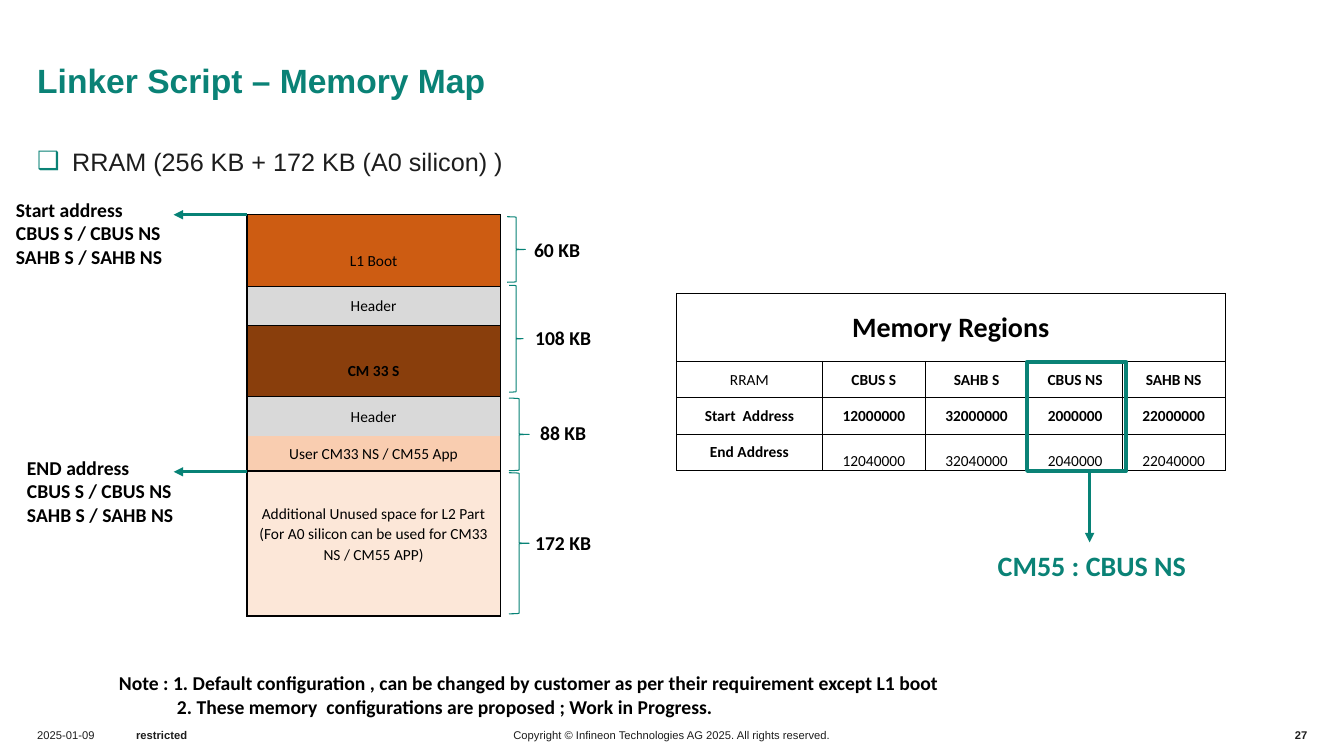
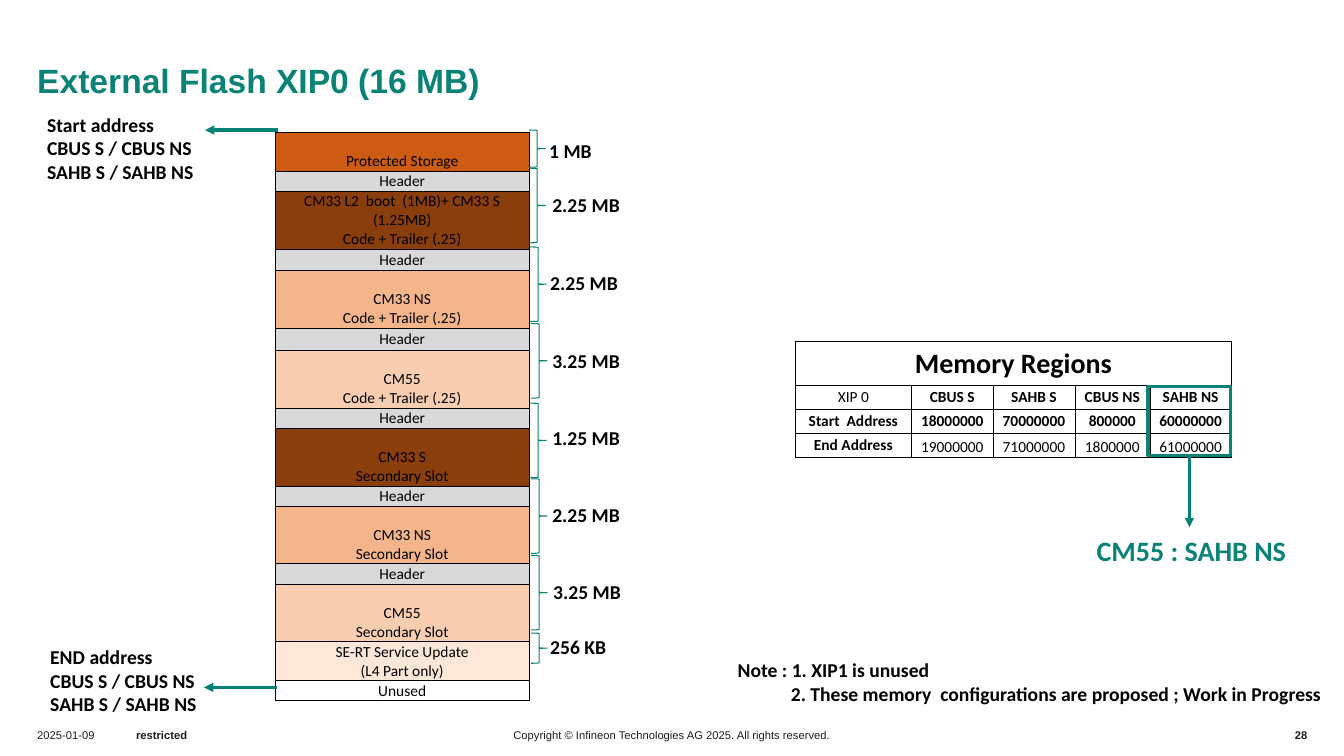
import pptx
import pptx.dml.color
import pptx.enum.shapes
import pptx.enum.text
import pptx.oxml.ns
import pptx.util
from lxml import etree

Pt = pptx.util.Pt
qn = pptx.oxml.ns.qn
ALIGN = pptx.enum.text.PP_ALIGN
ANCHOR = pptx.enum.text.MSO_ANCHOR
SHAPE = pptx.enum.shapes.MSO_SHAPE

TEAL, LINE_TEAL, INK, BLACK = "0A8276", "078276", "1D1D1D", "000000"
ORANGE, BROWN, GREY = "CD5C12", "893E0C", "D9D9D9"
PEACH, LIGHT_PEACH, CREAM, WHITE = "F4B58A", "F9CDB0", "FCE7D8", "FFFFFF"
FIRST_PAGE = 27
NO_STYLE = "{2D5ABB26-0587-4C30-8999-92F81FD0307C}"
BUSES = ["CBUS S / CBUS NS", "SAHB S / SAHB NS"]
HEADINGS = ["CBUS S", "SAHB S", "CBUS NS", "SAHB NS"]
REGION_COLUMNS = [104.4, 73.4, 73.4, 67.4, 73.4]


def rgb(color):
    return pptx.dml.color.RGBColor.from_string(color)


def put(obj, **values):
    for name, value in values.items():
        setattr(obj, name, value)


def points(values):
    return [Pt(v) for v in values]


class Deck:
    def __init__(self):
        self.prs = pptx.Presentation()
        put(self.prs, slide_width=Pt(960), slide_height=Pt(540))
        self.prs.element.set("firstSlideNum", str(FIRST_PAGE))
        self.s = None

    def add_lines(self, tf, lines, size=14, color=BLACK, bold=True, font="Calibri",
                  align=ALIGN.LEFT, spacing=1.0):
        for i, line in enumerate(lines):
            p = tf.add_paragraph() if i else tf.paragraphs[0]
            put(p, alignment=align, line_spacing=spacing, space_before=Pt(0))
            r = p.add_run()
            r.text = line
            put(r.font, size=Pt(size), bold=bold, name=font)
            r.font.color.rgb = rgb(color)

    def frame(self, sp, lines, inset=(0, 0, 0, 0), anchor=ANCHOR.TOP, **style):
        tf = sp.text_frame
        left, top, right, bottom = points(inset)
        put(tf, word_wrap=True, auto_size=pptx.enum.text.MSO_AUTO_SIZE.NONE,
            vertical_anchor=anchor, margin_left=left, margin_top=top,
            margin_right=right, margin_bottom=bottom)
        self.add_lines(tf, lines, **style)
        return tf

    def place(self, sp, *box):
        left, top, width, height = points(box)
        put(sp, left=left, top=top, width=width, height=height)

    def text(self, box, lines, inset=(7.2, 3.6, 7.2, 3.6), **style):
        sp = self.s.shapes.add_textbox(*points(box))
        return self.frame(sp, lines, inset, **style)

    def slide(self, title, layout):
        self.s = self.prs.slides.add_slide(self.prs.slide_layouts.get_by_name(layout))
        sp = self.s.shapes.title
        self.place(sp, 26.6, 15, 756.7, 57)
        self.frame(sp, [title], (0, 0, 0, 0.7), ANCHOR.BOTTOM,
                   size=24, color=TEAL, font="Arial")
        self.footer()

    def footer(self):
        page = str(FIRST_PAGE + len(self.prs.slides) - 1)
        for left, width, line, bold, align in (
                (26.6, 48.2, "2025-01-09", False, ALIGN.LEFT),
                (97.2, 76.3, "restricted", True, ALIGN.LEFT),
                (358, 244, "Copyright © Infineon Technologies AG 2025. All rights reserved.",
                 False, ALIGN.CENTER),
                (903.6, 30.2, page, True, ALIGN.RIGHT)):
            tf = self.text((left, 511.2, width, 28), [line], (0, 0, 0, 0),
                           anchor=ANCHOR.MIDDLE, size=8, color=INK, bold=bold,
                           font="Arial", align=align)
        fld = tf.paragraphs[0].runs[0]._r
        fld.tag = qn("a:fld")
        fld.set("id", "{B6F15528-21DE-4FAA-801E-634DDDAF4B2B}")
        fld.set("type", "slidenum")

    def bullet(self, line):
        sp = self.s.placeholders[1]
        self.place(sp, 26.6, 100, 907.2, 402.5)
        p = self.frame(sp, [line], size=18, color=INK, bold=False,
                       font="Arial", spacing=1.2).paragraphs[0]
        pPr = p._p.get_or_add_pPr()
        pPr.set("marL", str(Pt(25)))
        pPr.set("indent", str(-Pt(25)))
        color = etree.SubElement(pPr, qn("a:buClr"))
        etree.SubElement(color, qn("a:srgbClr"), val=TEAL)
        etree.SubElement(pPr, qn("a:buChar"), char="❑")

    def note(self, box, lines, indent):
        tf = self.text(box, lines)
        tf.paragraphs[1]._p.get_or_add_pPr().set("marL", str(Pt(indent)))

    def shape(self, kind, box, color, weight):
        sp = self.s.shapes.add_shape(kind, *points(box))
        sp.shadow.inherit = False
        sp.fill.background()
        sp.line.color.rgb = rgb(color)
        sp.line.width = Pt(weight)
        return sp

    def brace(self, box, label, label_box):
        sp = self.shape(SHAPE.RIGHT_BRACE, box, LINE_TEAL, 0.75)
        sp.adjustments[0], sp.adjustments[1] = 0.03, 0.5
        self.text((*label_box, 24.2), [label])

    def arrow(self, x1, y1, x2, y2, source=None):
        kind = pptx.enum.shapes.MSO_CONNECTOR.STRAIGHT
        sp = self.s.shapes.add_connector(kind, *points((x1, y1, x2, y2)))
        if source is not None:
            sp.begin_connect(source, 2)
        sp.line.color.rgb = rgb(LINE_TEAL)
        sp.line.width = Pt(2.25)
        spPr = sp._element.spPr
        etree.SubElement(spPr.get_or_add_ln(), qn("a:tailEnd"), type="triangle")
        etree.SubElement(spPr, qn("a:effectLst"))

    def address(self, word, left, top, arrow_right, arrow_y):
        self.text((left, top, 156.2, 58), [word + " address"] + BUSES)
        self.arrow(arrow_right, arrow_y, arrow_right - 52.3, arrow_y)

    def table(self, left, top, widths, heights):
        box = points((left, top, sum(widths), sum(heights)))
        sp = self.s.shapes.add_table(len(heights), len(widths), *box)
        tbl = sp.table
        put(tbl, first_row=False, horz_banding=False)
        tbl._tbl.tblPr.find(qn("a:tableStyleId")).text = NO_STYLE
        for column, width in zip(tbl.columns, widths):
            column.width = Pt(width)
        for row, height in zip(tbl.rows, heights):
            row.height = Pt(height)
        return tbl

    def cell(self, cell, lines, inset, fill=None, weight=0.5, hidden="",
             anchor=ANCHOR.MIDDLE, **style):
        left, top, right, bottom = points(inset)
        put(cell, margin_left=left, margin_top=top, margin_right=right,
            margin_bottom=bottom, vertical_anchor=anchor)
        if fill:
            cell.fill.solid()
            cell.fill.fore_color.rgb = rgb(fill)
        else:
            cell.fill.background()
        tcPr = cell._tc.get_or_add_tcPr()
        for i, side in enumerate("LRTB"):
            ln = etree.Element(qn("a:ln" + side), w=str(Pt(weight)))
            if side in hidden:
                etree.SubElement(ln, qn("a:noFill"))
            else:
                solid = etree.SubElement(ln, qn("a:solidFill"))
                etree.SubElement(solid, qn("a:srgbClr"), val=BLACK)
            tcPr.insert(i, ln)
        self.add_lines(cell.text_frame, lines, align=ALIGN.CENTER, **style)

    def memory_map(self, left, top, rows, side=0.7, edge=0.7, weight=0.5,
                   spacing=1.0, open_below=None):
        tbl = self.table(left, top, [181], [row[0] for row in rows])
        for i, (_, fill, text, above, below, bold) in enumerate(rows):
            hidden = ""
            if open_below is not None:
                hidden = {open_below: "B", open_below + 1: "T"}.get(i, "")
            self.cell(tbl.cell(i, 0), text.split("\n"),
                      (side, edge + above, side, below), fill, weight, hidden,
                      size=11, bold=bold, spacing=spacing)

    def regions(self, left, top, scale, heights, name, starts, ends):
        tbl = self.table(left, top, [w * scale for w in REGION_COLUMNS], heights)
        rows = [["Memory Regions", "", "", "", ""], [name] + HEADINGS,
                ["Start  Address"] + starts, ["End Address"] + ends]
        for i, row in enumerate(rows):
            for j, value in enumerate(row):
                end_value = i == 3 and j > 0
                self.cell(tbl.cell(i, j), [value] if value else [],
                          (0.7, 0.7, 0.7, 0), size=11 if i else 20,
                          bold=not end_value and (i, j) != (1, 0),
                          anchor=ANCHOR.BOTTOM if end_value else ANCHOR.MIDDLE)
        tbl.cell(0, 0).merge(tbl.cell(0, 4))

    def callout(self, left, top, label):
        self.text((left, top, 156.2, 31.5), [label], size=20, color=TEAL)


def rram_slide(deck):
    deck.slide("Linker Script – Memory Map", "Title and Content")
    deck.bullet("RRAM (256 KB + 172 KB (A0 silicon) )")
    deck.memory_map(176.4, 153.4, [
        (51.2, ORANGE, "L1 Boot", 14, 0, False),
        (27.7, GREY, "Header", 0, 0, False),
        (51.2, BROWN, "CM 33 S", 14, 0, True),
        (27.7, GREY, "Header", 0, 0, False),
        (25.3, LIGHT_PEACH, "User CM33 NS / CM55 App", 0, 0, False),
        (103.6, CREAM, "Additional Unused space for L2 Part (For A0 silicon "
         "can be used for CM33 NS / CM55 APP)", 0, 14, False),
    ], side=5, edge=0, weight=1, spacing=1.07, open_below=3)
    for box, label, label_box in (
            ((362.2, 154.8, 13, 46.8), "60 KB", (374.4, 166.3, 50)),
            ((363.6, 203.8, 10, 76.3), "108 KB", (375.1, 229, 57)),
            ((363.6, 284.4, 14.4, 51.8), "88 KB", (378.7, 297.4, 50)),
            ((363.6, 337.7, 14.4, 100.8), "172 KB", (375.1, 375.8, 57))):
        deck.brace(box, label, label_box)
    deck.address("Start", 4.3, 137.5, 176.4, 153.4)
    deck.address("END", 12.2, 321.8, 176.4, 337)
    deck.regions(483.1, 209.5, 1, [48.5, 26, 26, 26], "RRAM",
                 ["12000000", "32000000", "2000000", "22000000"],
                 ["12040000", "32040000", "2040000", "22040000"])
    deck.shape(SHAPE.RECTANGLE, (733.7, 258.5, 70.6, 77.8), TEAL, 3)
    deck.arrow(778.3, 337, 778.3, 387.4)
    deck.callout(705.6, 388, "CM55 : CBUS NS")
    deck.note((77.8, 475.9, 649.4, 41), [
        "Note : 1. Default configuration , can be changed by customer "
        "as per their requirement except L1 boot",
        "2. These memory  configurations are proposed ; Work in Progress."], 41.5)


def flash_slide(deck):
    deck.slide("External Flash XIP0 (16 MB)", "Title Only")
    images = [
        (14.4, BROWN, "CM33 L2  boot  (1MB)+ CM33 S (1.25MB)\nCode + Trailer (.25)", 0),
        (15.1, PEACH, "CM33 NS\nCode + Trailer (.25)", 13.4),
        (15.8, LIGHT_PEACH, "CM55\nCode + Trailer (.25)", 13.4),
        (14.4, BROWN, "CM33 S\nSecondary Slot", 13.4),
        (14.4, PEACH, "CM33 NS\nSecondary Slot", 13.4),
        (14.4, LIGHT_PEACH, "CM55\nSecondary Slot", 13.4)]
    rows = [(27.6, ORANGE, "Protected Storage", 13.4, 0, False)]
    for header, fill, text, above in images:
        rows += [(header, GREY, "Header", 0, 0, False),
                 (41.3, fill, text, above, 0, False)]
    rows += [(27.6, CREAM, "SE-RT Service Update\n(L4 Part only)", 0, 0, False),
             (14.2, WHITE, "Unused", 0, 0, False)]
    deck.memory_map(196.8, 94.4, rows)
    for left, top, height, label, label_left, label_top in (
            (378, 92.9, 26.6, "1 MB", 385.2, 95.8),
            (378, 120.2, 53.3, "2.25 MB", 387.4, 134.6),
            (378.7, 176.4, 53.3, "2.25 MB", 385.9, 190.1),
            (379.4, 231.1, 53.3, "3.25 MB", 387.4, 245.5),
            (378.7, 288, 53.3, "1.25 MB", 387.4, 301),
            (379.4, 342, 53.3, "2.25 MB", 387.4, 355.7),
            (379.4, 396.7, 53.3, "3.25 MB", 388.1, 410.4),
            (379.4, 452.2, 21.6, "256 KB", 385.9, 450)):
        deck.brace((left, top, 11.5, height), label, (label_left, label_top, 81.4))
    deck.address("Start", 26.6, 77, 198.7, 92.9)
    deck.address("END", 28.8, 457.2, 198, 491)
    deck.regions(568.1, 244.1, 0.795, [31, 17.1, 17.1, 17.1], "XIP 0",
                 ["18000000", "70000000", "800000", "60000000"],
                 ["19000000", "71000000", "1800000", "61000000"])
    sp = deck.shape(SHAPE.RECTANGLE, (820, 275.8, 59.2, 49.8), TEAL, 2.25)
    deck.arrow(849.6, 325.6, 849.6, 376.6, sp)
    deck.callout(776.2, 377.3, "CM55 : SAHB NS")
    deck.note((519.8, 466.6, 437.8, 41), [
        "Note : 1. XIP1 is unused",
        "2. These memory  configurations are proposed ; Work in Progress"], 38)


def main():
    deck = Deck()
    rram_slide(deck)
    flash_slide(deck)
    deck.prs.save("out.pptx")


if __name__ == "__main__":
    main()
